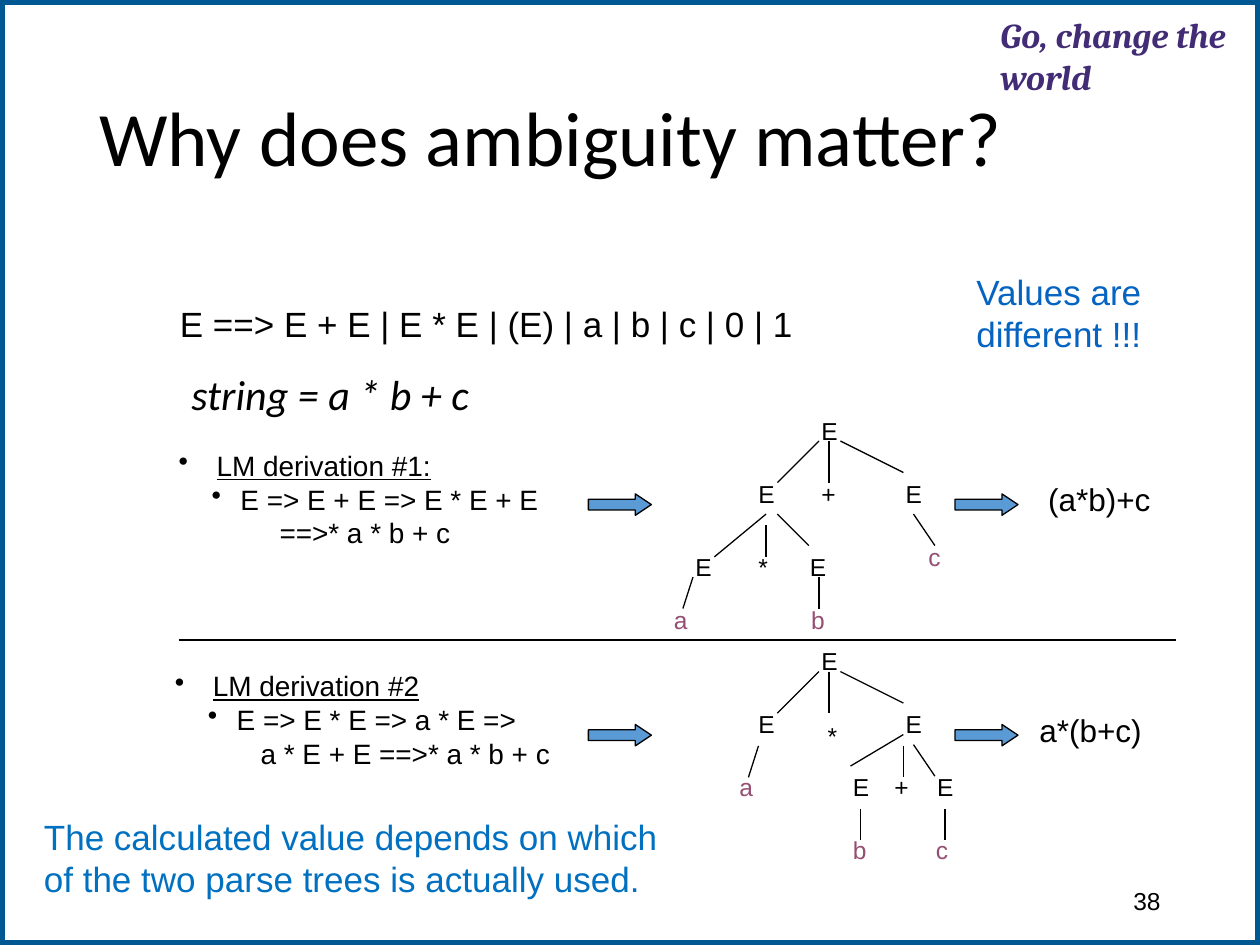
"""Build a slide that contrasts two parse trees of an ambiguous grammar."""
from lxml import etree
from pptx import Presentation
from pptx.dml.color import RGBColor
from pptx.enum.shapes import MSO_CONNECTOR, MSO_SHAPE
from pptx.enum.text import MSO_ANCHOR, PP_ALIGN
from pptx.oxml.ns import qn
from pptx.util import Inches, Pt

COLORS = {
    "black": "000000", "white": "FFFFFF", "frame": "005893", "motto": "422C75",
    "arrow": "5B9BD5", "leaf": "954F72", "remark": "0563C1", "conclusion": "0070C0",
}

TEXTS = [
    ((7.94, 0.11, 2.05, 0.62), ["Go, change the world"],
     dict(size=20, font="Cambria", color="motto", bold=True, italic=True, wrap=True, margin=0)),
    ((0.69, 0.4, 8.62, 1.45), ["Why does ambiguity matter?"],
     dict(size=44, font="Calibri", wrap=True, anchor=MSO_ANCHOR.MIDDLE, spacing=0.9)),
    ((1.42, 2.92, 2.71, 0.46), ["string = a * b + c"],
     dict(size=24, font="Calibri", italic=True, wrap=True, spacing=0.9)),
    ((7.06, 6.95, 2.25, 0.4), ["38"],
     dict(size=14, wrap=True, anchor=MSO_ANCHOR.MIDDLE, align=PP_ALIGN.RIGHT)),
    ((1.33, 2.35, 5.17, 0.44), ["E ==> E + E | E * E | (E) | a | b | c | 0 | 1"], dict(size=20)),
    ((7.65, 2.1, 1.61, 0.77), ["Values are", "different !!!"], dict(size=20, color="remark")),
    ((0.25, 6.42, 5.19, 0.77),
     ["The calculated value depends on which", "of the two parse trees is actually used."],
     dict(size=20, color="conclusion")),
]

SHARED_NODES = [("E", 6.42, 0), ("E", 5.92, 0.5), ("E", 7.09, 0.5)]
SHARED_EDGES = [
    (6.5, 0.25, 6.17, 0.58), (6.58, 0.25, 6.58, 0.58), (6.67, 0.25, 7.17, 0.5),
    (7.25, 0.83, 7.42, 1.08),
]
DERIVATIONS = [
    {
        "top": 3.25,
        "box": (1.32, 3.51, 3.25, 0.91),
        "lines": ["LM derivation #1:", "E => E + E => E * E + E", "==>* a * b + c"],
        "last_indent": 0.8,
        "value": ("(a*b)+c", 8.22),
        "nodes": [("+", 6.42, 0.5), ("E", 5.42, 1.08), ("*", 5.92, 1.08), ("E", 6.33, 1.08),
                  ("a", 5.25, 1.5), ("b", 6.34, 1.5), ("c", 7.27, 1)],
        "edges": [(6.08, 0.83, 5.67, 1.17), (6.17, 0.83, 6.42, 1.08), (6.08, 0.92, 6.08, 1.17),
                  (5.5, 1.33, 5.42, 1.58), (6.5, 1.33, 6.5, 1.58)],
    },
    {
        "top": 5.08,
        "box": (1.29, 5.26, 3.38, 0.9),
        "lines": ["LM derivation #2", "E => E * E => a * E =>", "a * E + E ==>* a * b + c"],
        "last_indent": 0.68,
        "value": ("a*(b+c)", 8.15),
        "nodes": [("*", 6.47, 0.59), ("E", 7.34, 1), ("+", 7, 1), ("E", 6.67, 1),
                  ("a", 5.77, 1), ("b", 6.67, 1.5), ("c", 7.33, 1.5)],
        "edges": [(7.5, 1.34, 7.5, 1.59), (6.02, 0.84, 5.94, 1.09), (6.83, 1.34, 6.83, 1.59),
                  (7.17, 0.75, 6.75, 1), (7.17, 0.84, 7.17, 1.09)],
    },
]
ARROW_LEFTS = [4.67, 7.58]
DIVIDER = (1.42, 5.08, 9.33, 5.08)


def rgb(name):
    return RGBColor.from_string(COLORS[name])


def add_text(page, place, lines, size, font="Arial", color="black", bold=False, italic=False,
             wrap=False, margin=None, anchor=MSO_ANCHOR.TOP, align=PP_ALIGN.LEFT, spacing=1.0):
    box = page.shapes.add_textbox(*map(Inches, place))
    frame = box.text_frame
    frame.word_wrap = wrap
    frame.vertical_anchor = anchor
    if margin is not None:
        frame.margin_left = frame.margin_right = Inches(margin)
        frame.margin_top = frame.margin_bottom = Inches(margin)
    frame.text = "\n".join(lines)
    for paragraph in frame.paragraphs:
        paragraph.alignment = align
        paragraph.line_spacing = spacing
        paragraph.font.size = Pt(size)
        paragraph.font.name = font
        paragraph.font.bold = bold
        paragraph.font.italic = italic
        paragraph.font.color.rgb = rgb(color)
    return box


def indent(paragraph, left, hanging=0):
    properties = paragraph._p.get_or_add_pPr()
    properties.set("marL", str(Inches(left)))
    properties.set("indent", str(-Inches(hanging)))
    if hanging:
        bullet = etree.Element(qn("a:buChar"), char="•")
        properties.find(qn("a:defRPr")).addprevious(bullet)


def add_line(page, x1, y1, x2, y2):
    line = page.shapes.add_connector(MSO_CONNECTOR.STRAIGHT, *map(Inches, (x1, y1, x2, y2)))
    line.line.color.rgb = rgb("black")
    line.line.width = Pt(0.75)
    etree.SubElement(line._element.spPr, qn("a:effectLst"))


def add_solid(page, kind, place, fill, outline, width):
    shape = page.shapes.add_shape(kind, *map(Inches, place))
    shape.shadow.inherit = False
    shape.fill.solid()
    shape.fill.fore_color.rgb = rgb(fill)
    shape.line.color.rgb = rgb(outline)
    shape.line.width = Pt(width)
    return shape


def add_derivation(page, derivation):
    top = derivation["top"]
    box = add_text(page, derivation["box"], derivation["lines"], 16)
    heading, first, last = box.text_frame.paragraphs
    heading.font.underline = True
    indent(heading, 0.3, 0.3)
    indent(first, 0.49, 0.23)
    indent(last, derivation["last_indent"])

    for label, left, down in SHARED_NODES + derivation["nodes"]:
        color = "leaf" if label in "abc" else "black"
        add_text(page, (left, top + down, 0.33, 0.33), [label], 14, color=color)
    for x1, y1, x2, y2 in SHARED_EDGES + derivation["edges"]:
        add_line(page, x1, top + y1, x2, top + y2)
    for left in ARROW_LEFTS:
        arrow = add_solid(page, MSO_SHAPE.RIGHT_ARROW, (left, top + 0.67, 0.5, 0.17),
                          "arrow", "black", 0.75)
        arrow.adjustments[1] = 0.75
    value, left = derivation["value"]
    add_text(page, (left, top + 0.51, 1.02, 0.4), [value], 18)


def main():
    deck = Presentation()
    deck.slide_width, deck.slide_height = Inches(10), Inches(7.5)
    page = deck.slides.add_slide(deck.slide_layouts[6])
    add_solid(page, MSO_SHAPE.RECTANGLE, (0, 0, 10, 7.5), "white", "frame", 6)
    for place, lines, style in TEXTS:
        add_text(page, place, lines, **style)
    for derivation in DERIVATIONS:
        add_derivation(page, derivation)
    add_line(page, *DIVIDER)
    deck.save("out.pptx")


if __name__ == "__main__":
    main()
